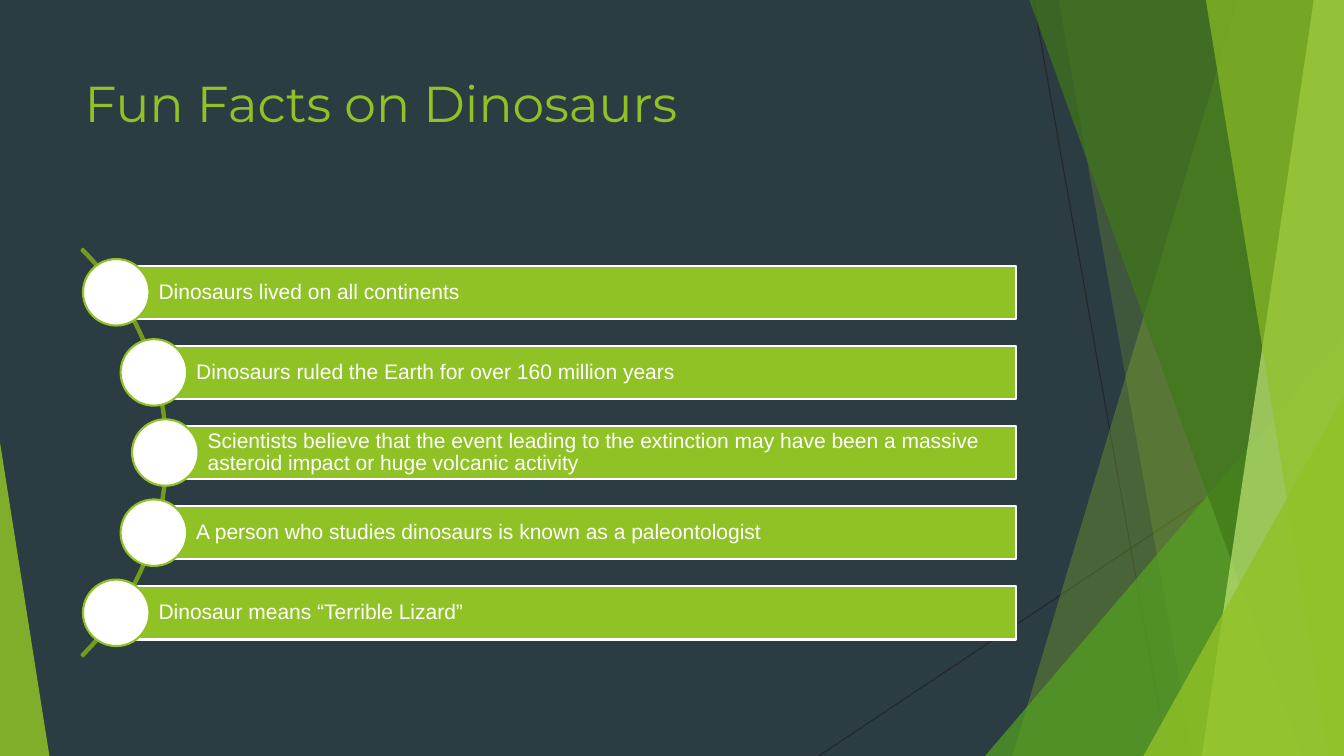
"""Build the dinosaur facts slide."""
from dataclasses import dataclass
from math import sqrt

from lxml import etree
from pptx import Presentation
from pptx.dml.color import RGBColor
from pptx.enum import shapes as s, text as t
from pptx.oxml.ns import qn
from pptx.util import Inches, Pt

SLATE = RGBColor(0x2C, 0x3C, 0x43)
LIME = RGBColor(0x90, 0xC2, 0x26)
GREEN = RGBColor(0x54, 0xA0, 0x21)
FOREST = RGBColor(0x3F, 0x78, 0x19)
PALE = RGBColor(0xC0, 0xE4, 0x74)
OLIVE = RGBColor(0x73, 0x9B, 0x1E)
BLACK = RGBColor(0x26, 0x26, 0x26)
WHITE = RGBColor(0xFF, 0xFF, 0xFF)

WIDE, HIGH = 13.33, 7.5
HUB_X, HUB_Y, ORBIT, ARC = -1.2, 4.49, 2.84, 2.86
SPAN, END = 3.18, 10.08
BAR, DOT = 0.53, 0.66

FACTS = [
    "Dinosaurs lived on all continents",
    "Dinosaurs ruled the Earth for over 160 million years",
    "Scientists believe that the event leading to the extinction may have "
    "been a massive asteroid impact or huge volcanic activity",
    "A person who studies dinosaurs is known as a paleontologist",
    "Dinosaur means “Terrible Lizard”",
]


@dataclass
class Ribbon:
    """A band from a slanted left edge to the right slide edge."""
    top: float
    bottom: float
    color: RGBColor
    alpha: int


@dataclass
class Wedge:
    """A right triangle standing on the bottom slide edge."""
    left: float
    top: float
    width: float
    tip: int
    color: RGBColor
    alpha: int


DECOR = [
    Ribbon(12.28, 10.04, LIME, 30),
    Ribbon(10.5, 11.83, LIME, 20),
    Wedge(9.77, 3.33, 3.56, 1, GREEN, 72),
    Ribbon(10.21, 12.91, FOREST, 70),
    Ribbon(13.03, 11.92, PALE, 70),
    Ribbon(11.96, 13.18, LIME, 65),
    Wedge(11.34, 3.93, 1.99, 1, LIME, 80),
    Wedge(0, 4.39, 0.49, 0, LIME, 85),
]


def paint(shape, fill: RGBColor | None = None, line: RGBColor | None = None,
          alpha: int = 100) -> None:
    """Set fill, outline and opacity, and drop the shadow."""
    shape.shadow.inherit = False
    if fill is None:
        shape.fill.background()
    else:
        shape.fill.solid()
        shape.fill.fore_color.rgb = fill
    if alpha < 100:
        tint = shape.element.spPr.find(qn("a:solidFill"))[0]
        etree.SubElement(tint, qn("a:alpha")).set("val", str(alpha * 1000))
    if line is None:
        shape.line.fill.background()
    else:
        shape.line.color.rgb = line
        shape.line.width = Pt(1.5)


def write(shape, words: str, *, font: str, size: float, color: RGBColor,
          anchor: t.MSO_ANCHOR, pads: tuple[float, ...],
          space: float = 1.0) -> None:
    """Put formatted left-aligned text in a shape."""
    frame = shape.text_frame
    frame.word_wrap = True
    frame.auto_size = t.MSO_AUTO_SIZE.NONE
    frame.vertical_anchor = anchor
    (frame.margin_left, frame.margin_top, frame.margin_right,
     frame.margin_bottom) = map(Inches, pads)
    para = frame.paragraphs[0]
    para.alignment = t.PP_ALIGN.LEFT
    para.line_spacing = space
    run = para.add_run()
    run.text = words
    run.font.name = font
    run.font.size = Pt(size)
    run.font.color.rgb = color


def place(slide, kind: s.MSO_SHAPE, *box: float):
    """Add a preset shape at a box in inches."""
    return slide.shapes.add_shape(kind, *map(Inches, box))


def streak(slide, *ends: float) -> None:
    """Draw a thin dark line."""
    line = slide.shapes.add_connector(s.MSO_CONNECTOR.STRAIGHT,
                                      *map(Inches, ends))
    line.line.color.rgb = BLACK
    line.line.width = Pt(0.75)
    etree.SubElement(line.element.spPr, qn("a:effectLst"))


def adorn(slide, item: Ribbon | Wedge) -> None:
    """Draw one translucent piece of the backdrop."""
    if isinstance(item, Ribbon):
        spots = [(WIDE, 0), (WIDE, HIGH), (item.bottom, HIGH)]
        pen = slide.shapes.build_freeform(Inches(item.top), 0)
        pen.add_line_segments([(Inches(x), Inches(y)) for x, y in spots])
        shape = pen.convert_to_shape()
    else:
        shape = place(slide, s.MSO_SHAPE.ISOSCELES_TRIANGLE, item.left,
                      item.top, item.width, HIGH - item.top)
        shape.adjustments[0] = item.tip
    paint(shape, item.color, alpha=item.alpha)


def chain(slide, facts: list[str]) -> None:
    """Draw the arc with a bar and a dot for each fact."""
    arc = place(slide, s.MSO_SHAPE.BLOCK_ARC, HUB_X - ARC, HUB_Y - ARC,
                2 * ARC, 2 * ARC)
    for i, value in enumerate((189, 27, 0.004)):
        arc.adjustments[i] = value
    paint(arc, line=OLIVE)
    for i, fact in enumerate(facts):
        drop = SPAN * (i / (len(facts) - 1) - 0.5)
        x, y = HUB_X + sqrt(ORBIT ** 2 - drop ** 2), HUB_Y + drop
        bar = place(slide, s.MSO_SHAPE.RECTANGLE, x, y - BAR / 2, END - x, BAR)
        paint(bar, LIME, WHITE)
        write(bar, fact, font="Arial", size=15, color=WHITE, space=0.9,
              anchor=t.MSO_ANCHOR.MIDDLE, pads=(0.42, 0.04, 0.04, 0.04))
        dot = place(slide, s.MSO_SHAPE.OVAL, x - DOT / 2, y - DOT / 2, DOT, DOT)
        paint(dot, WHITE, LIME)


def main() -> None:
    """Build and save the deck."""
    deck = Presentation()
    deck.slide_width, deck.slide_height = Inches(WIDE), Inches(HIGH)
    slide = deck.slides.add_slide(deck.slide_layouts[5])
    slide.background.fill.solid()
    slide.background.fill.fore_color.rgb = SLATE
    streak(slide, 10.25, 0, 11.58, HIGH)
    streak(slide, WIDE, 4.03, 8.12, HIGH)
    for item in DECOR:
        adorn(slide, item)
    title = slide.shapes.title
    title.left, title.top = Inches(0.74), Inches(0.67)
    title.width, title.height = Inches(9.4), Inches(1.44)
    write(title, "Fun Facts on Dinosaurs", font="Montserrat", size=36,
          color=LIME, anchor=t.MSO_ANCHOR.TOP, pads=(0.1, 0.05, 0.1, 0.05))
    chain(slide, FACTS)
    deck.save("out.pptx")


main()
